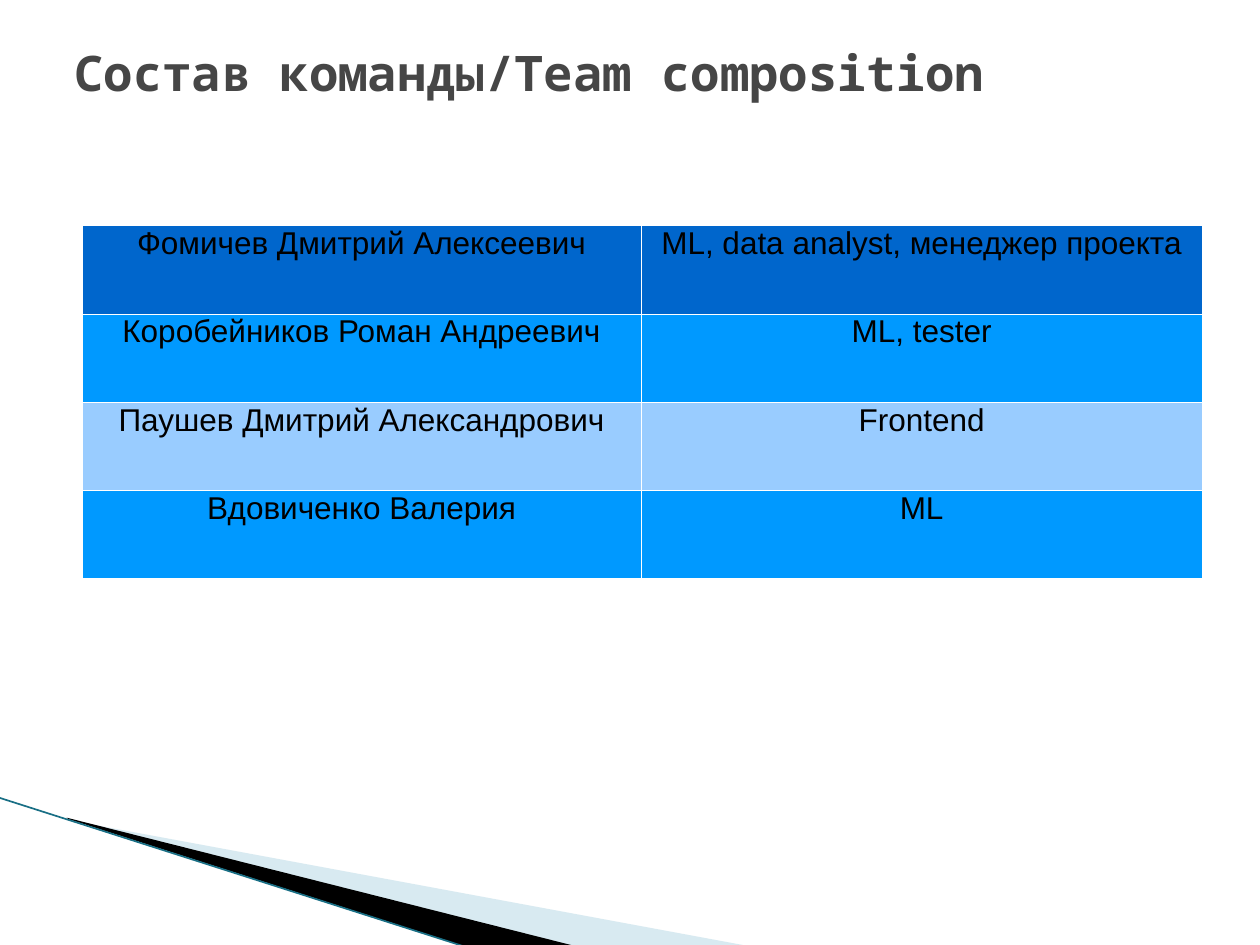
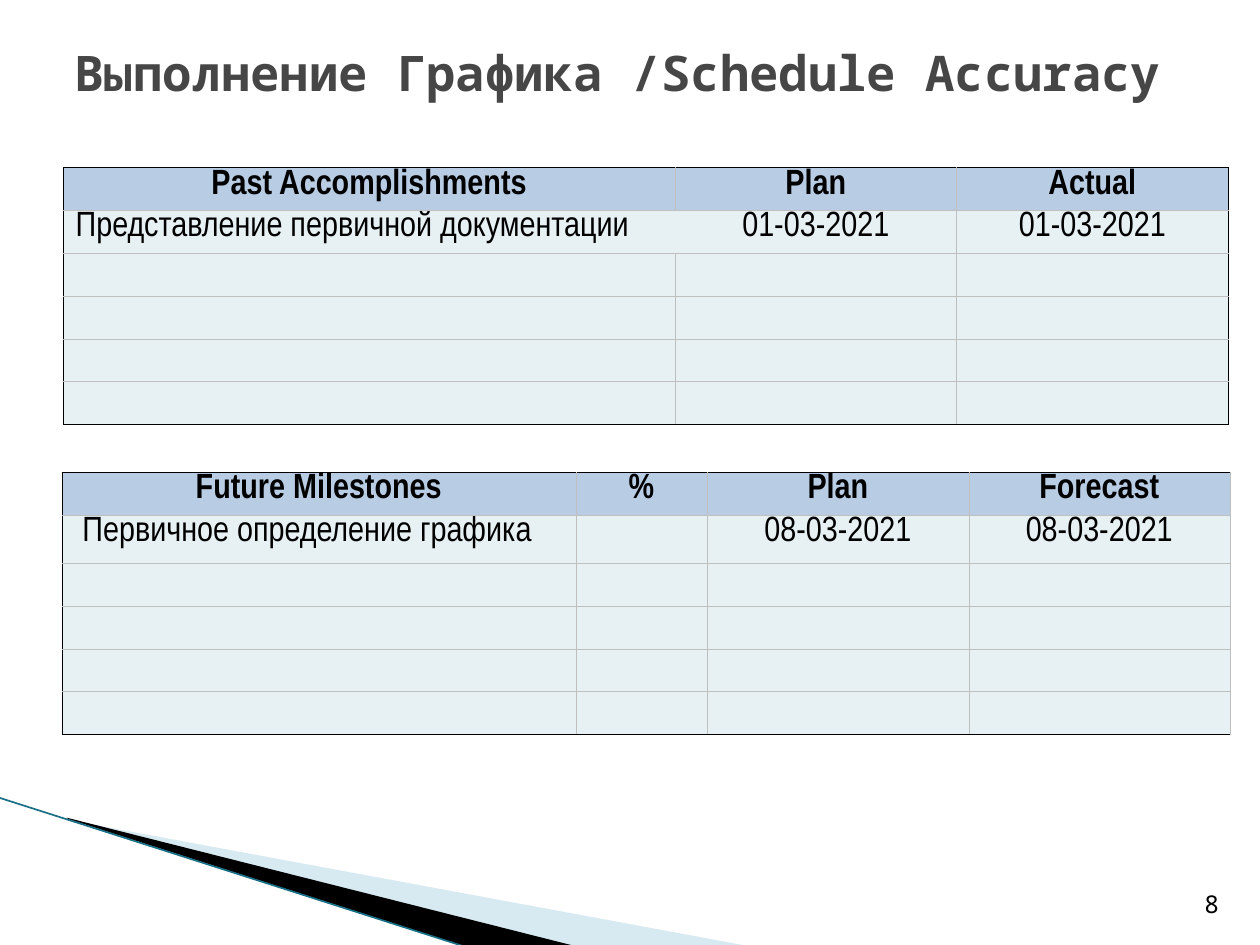
"""Build the team composition and schedule accuracy slides."""
from lxml.etree import SubElement
from pptx import Presentation
from pptx.dml.color import RGBColor
from pptx.enum.text import MSO_ANCHOR, MSO_AUTO_SIZE, PP_ALIGN
from pptx.enum.shapes import MSO_CONNECTOR
from pptx.oxml.ns import qn
from pptx.util import Inches, Pt

TITLE_FONT = "Noto Sans Mono"
BLACK, WHITE, GRID_GRAY = "000000", "FFFFFF", "BFBFBF"
HEADER_BLUE, BODY_BLUE = "B8CCE4", "E7F0F3"
NO_GRID_STYLE = "{2D5ABB26-0587-4C30-8999-92F81FD0307C}"


def rgb(value):
    """Turn a hex string into a colour."""
    return RGBColor.from_string(value)


presentation = Presentation()
presentation.slide_width = Inches(10)
presentation.slide_height = Inches(7.5)
layout = presentation.slide_layouts[5]

slides = []
for title_text in ["Состав команды/Team composition", "Выполнение Графика /Schedule Accuracy"]:
    slide = presentation.slides.add_slide(layout)
    slides.append(slide)
    title = slide.shapes.title
    title.left, title.top = Inches(0.5), Inches(0.3)
    title.width, title.height = Inches(9), Inches(0.75)
    frame = title.text_frame
    frame.text = title_text
    frame.auto_size = MSO_AUTO_SIZE.NONE
    frame.vertical_anchor = MSO_ANCHOR.TOP
    frame.margin_left = frame.margin_right = Inches(0.09)
    frame.margin_top = frame.margin_bottom = Inches(0.04)
    paragraph = frame.paragraphs[0]
    paragraph.alignment = PP_ALIGN.LEFT
    paragraph.font.name = TITLE_FONT
    paragraph.font.size = Pt(28)
    paragraph.font.bold = True
    paragraph.font.color.rgb = rgb("464646")
team_slide, schedule_slide = slides

wedges = [
    ("9FCBDC", 40, [(0.55, 6.51), (5.95, 7.51), (4.56, 7.51), (0.55, 6.5)]),
    (BLACK, 100, [(0.53, 6.49), (4.57, 7.51), (3.72, 7.52), (0.54, 6.5)]),
]
decorations = []
for color, opacity, corners in wedges:
    points = [(Inches(x), Inches(y)) for x, y in corners]
    builder = team_slide.shapes.build_freeform(*points[0], scale=1.0)
    builder.add_line_segments(points[1:], close=True)
    wedge = builder.convert_to_shape()
    wedge.shadow.inherit = False
    wedge.fill.solid()
    wedge.fill.fore_color.rgb = rgb(color)
    wedge.line.fill.background()
    if opacity < 100:
        color_element = wedge._element.spPr.find(qn("a:solidFill"))[0]
        SubElement(color_element, qn("a:alpha"), val=str(opacity * 1000))
    decorations.append(wedge)

edge_line = team_slide.shapes.add_connector(
    MSO_CONNECTOR.STRAIGHT, Inches(-0.01), Inches(6.33), Inches(3.71), Inches(7.52))
edge_line.line.color.rgb = rgb("196F85")
edge_line.line.width = Pt(0.96)
SubElement(edge_line._element.spPr, qn("a:effectLst"))
decorations.append(edge_line)
for shape in decorations:
    layout.shapes._spTree.append(shape._element)

team_style = dict(font="Arial", size=18, spacing=0.81, margin=0.05, header=False,
                  line=0.06, grid=WHITE, outline=dict.fromkeys("LRTB", WHITE))
past_style = dict(font="Arial Narrow", size=20, spacing=0.91, margin=0.02, header=True,
                  line=0.23, grid=GRID_GRAY, outline=dict.fromkeys("LRTB", BLACK))
future_style = past_style | dict(outline=past_style["outline"] | dict(R=GRID_GRAY))
schedule_fills = [HEADER_BLUE] + [BODY_BLUE] * 5

tables = [
    (team_slide, 0.65, 1.79, [4.44, 4.45], [0.7] * 4, team_style,
     ["0066CC", "0099FF", "99CCFF", "0099FF"], [],
     [["Фомичев Дмитрий Алексеевич", "ML, data analyst, менеджер проекта"],
      ["Коробейников Роман Андреевич", "ML, tester"],
      ["Паушев Дмитрий Александрович", "Frontend"],
      ["Вдовиченко Валерия", "ML"]]),
    (schedule_slide, 0.5, 1.33, [4.86, 2.23, 2.16], [0.34] * 6, past_style,
     schedule_fills, [(1, 0, "R"), (1, 1, "L")],
     [["Past Accomplishments", "Plan", "Actual"],
      ["Представление первичной документации", "01-03-2021", "01-03-2021"]]
     + [[""] * 3] * 4),
    (schedule_slide, 0.49, 3.75, [4.08, 1.04, 2.08, 2.07],
     [0.34, 0.38] + [0.34] * 4, future_style, schedule_fills, [],
     [["Future Milestones", "%", "Plan", "Forecast"],
      [" Первичное определение графика", "", "08-03-2021", "08-03-2021"]]
     + [[""] * 4] * 4),
]

for slide, left, top, widths, heights, style, fills, open_sides, rows in tables:
    table = slide.shapes.add_table(
        len(heights), len(widths), Inches(left), Inches(top),
        Inches(sum(widths)), Inches(sum(heights))).table
    table._tbl.tblPr.find(qn("a:tableStyleId")).text = NO_GRID_STYLE
    for column, width in zip(table.columns, widths):
        column.width = Inches(width)
    for row, height in zip(table.rows, heights):
        row.height = Inches(height)

    for row_index, texts in enumerate(rows):
        for column_index, text in enumerate(texts):
            cell = table.cell(row_index, column_index)
            cell.text = text
            cell.margin_top = cell.margin_bottom = Inches(style["margin"])
            is_header = style["header"] and row_index == 0
            is_task = style["header"] and row_index > 0 and column_index == 0
            paragraph = cell.text_frame.paragraphs[0]
            paragraph.alignment = PP_ALIGN.LEFT if is_task else PP_ALIGN.CENTER
            paragraph.line_spacing = style["spacing"]
            paragraph.font.name = style["font"]
            paragraph.font.size = Pt(style["size"])
            paragraph.font.bold = is_header
            paragraph.font.color.rgb = rgb(BLACK)

            on_outline = dict(L=column_index == 0, R=column_index == len(widths) - 1,
                              T=row_index == 0, B=row_index == len(heights) - 1)
            for side, is_outer in on_outline.items():
                if (row_index, column_index, side) in open_sides:
                    continue
                color = style["outline"][side] if is_outer else style["grid"]
                border = SubElement(cell._tc.get_or_add_tcPr(), qn(f"a:ln{side}"),
                                    w=str(Pt(style["line"])))
                SubElement(SubElement(border, qn("a:solidFill")), qn("a:srgbClr"), val=color)
            cell.fill.solid()
            cell.fill.fore_color.rgb = rgb(fills[row_index])

number_box = schedule_slide.shapes.add_textbox(
    Inches(9.46), Inches(7.01), Inches(0.4), Inches(0.4))
number_box.text_frame.word_wrap = True
paragraph = number_box.text_frame.paragraphs[0]
paragraph.text = "8"
paragraph.font.name = TITLE_FONT
paragraph.font.size = Pt(14)
paragraph.font.color.rgb = rgb(BLACK)

presentation.save("out.pptx")
